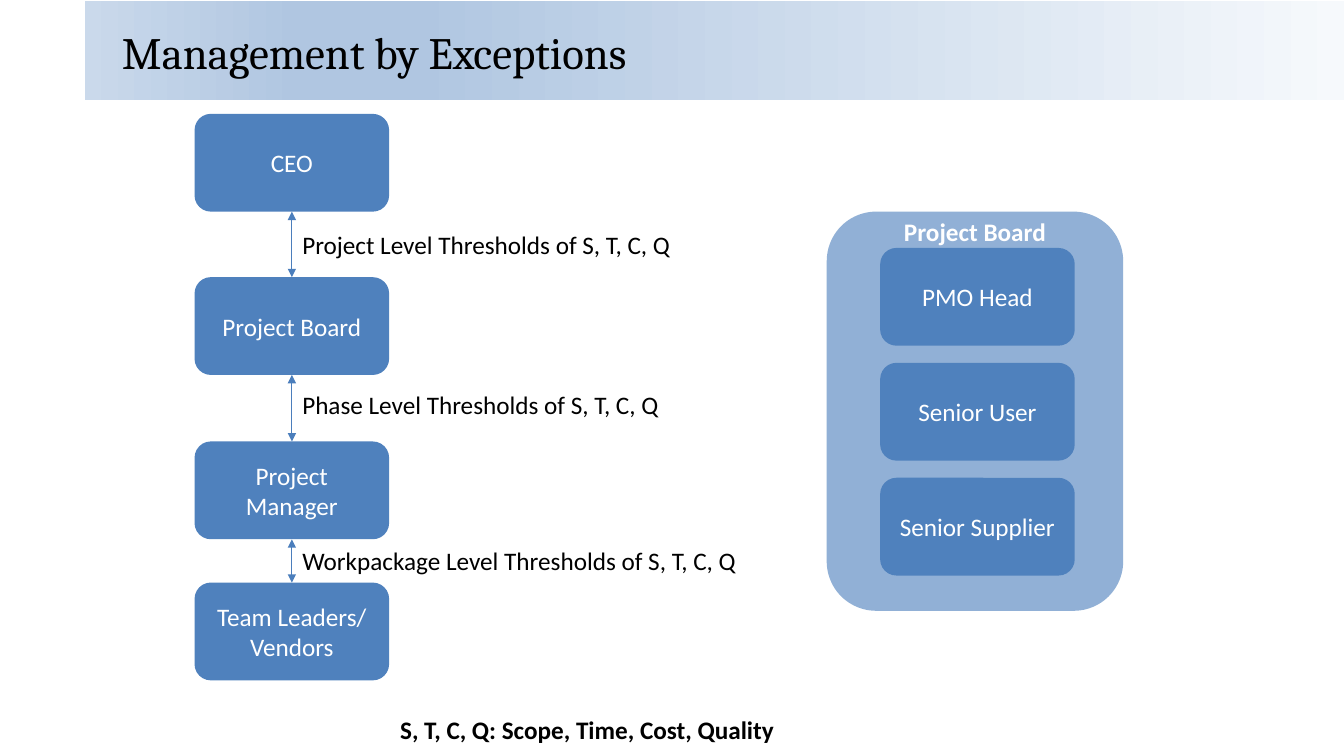
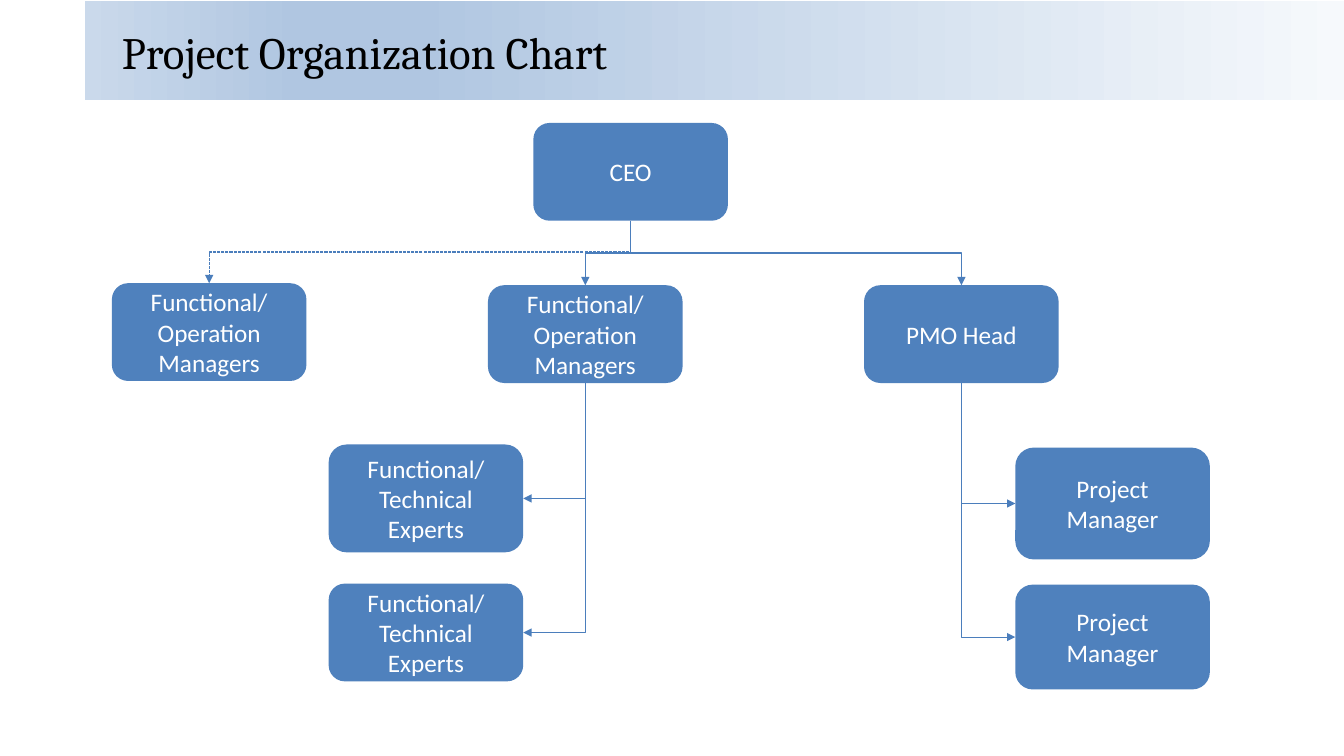
from itertools import pairwise

from lxml.etree import SubElement as Sub
from pptx import Presentation
from pptx.dml.color import RGBColor
from pptx.enum.dml import MSO_LINE as Dash
from pptx.enum.shapes import MSO_CONNECTOR as Link, MSO_SHAPE as Kind
from pptx.enum.text import MSO_ANCHOR as Anchor, PP_ALIGN as Align
from pptx.oxml.ns import qn
from pptx.util import Pt

PX = 9144  # EMU, 100 px to the inch
TOP, LEFT, BOTTOM, RIGHT = range(4)  # connection sites of a box
BLUE, EDGE, WHITE, BLACK = "4F81BD", "4B7EBC", "FFFFFF", "000000"
FADE = [(0, "F6F9FC"), (74, "B0C6E1"), (83, "B0C6E1"), (100, "CAD9EB")]


def px(*sizes):
    return [size * PX for size in sizes]


def rgb(code):
    return RGBColor.from_string(code)


def site(box, side):
    """Point where a connector meets the given side of a box."""
    x, y, w, h = box.left, box.top, box.width, box.height
    return [(x + w // 2, y), (x, y + h // 2),
            (x + w // 2, y + h), (x + w, y + h // 2)][side]


class Deck:
    def __init__(self):
        self.prs = Presentation()
        self.prs.slide_width, self.prs.slide_height = px(1333, 750)
        self.layout = self.prs.slide_layouts[5]
        self.slide = None

    def page(self, title):
        self.slide = self.prs.slides.add_slide(self.layout)
        head = self.slide.shapes.title
        head.left, head.top, head.width, head.height = px(111, 6, 1178, 91)
        self.letter(head, title, BLACK, Align.LEFT, 32, font="Cambria")

    def letter(self, shape, text, color, align, size=18, bold=False,
               font="Calibri", anchor=Anchor.MIDDLE):
        """Fill a shape with one styled paragraph."""
        frame = shape.text_frame
        frame.text, frame.word_wrap = text, True
        frame.vertical_anchor = anchor
        par = frame.paragraphs[0]
        par.alignment = align
        style = par.font
        style.name, style.size, style.bold = font, Pt(size), bold
        style.color.rgb = rgb(color)

    def shape(self, kind, x, y, w, h, color=BLUE):
        new = self.slide.shapes.add_shape(kind, *px(x, y, w, h))
        new.shadow.inherit = False
        new.fill.solid()
        new.fill.fore_color.rgb = rgb(color)
        new.line.fill.background()
        return new

    def band(self):
        """Put the fading title band on the layout, behind every title."""
        band = self.shape(Kind.RECTANGLE, 84, 1, 1249, 98)
        band.fill.gradient()
        band.fill.gradient_angle = 180
        stops = band._element.spPr.find(".//" + qn("a:gsLst"))
        stops.clear()
        for pos, code in FADE:
            stop = Sub(stops, qn("a:gs"), pos=str(pos * 1000))
            Sub(stop, qn("a:srgbClr"), val=code)
        self.layout.shapes._spTree.insert(2, band._element)

    def box(self, text, x, y, h=97):
        new = self.shape(Kind.ROUNDED_RECTANGLE, x, y, 193, h)
        self.letter(new, text, WHITE, Align.CENTER)
        return new

    def panel(self, x, y, w, h, alpha):
        new = self.shape(Kind.ROUNDED_RECTANGLE, x, y, w, h)
        color = new._element.spPr.find(".//" + qn("a:srgbClr"))
        Sub(color, qn("a:alpha"), val=str(alpha * 1000))

    def label(self, text, x, y, w, color=BLACK, align=Align.LEFT, bold=False):
        new = self.slide.shapes.add_textbox(*px(x, y, w, 40))
        self.letter(new, text, color, align, bold=bold, anchor=Anchor.TOP)

    def join(self, kind, start, end, side, both=False, dash=None):
        """Glue an arrow from the bottom of start to a side of end."""
        a, b = site(start, BOTTOM), site(end, side)
        line = self.slide.shapes.add_connector(kind, *a, *b)
        line.begin_connect(start, BOTTOM)
        line.end_connect(end, side)
        line.line.color.rgb = rgb(EDGE)
        line.line.width = Pt(0.75)
        if dash:
            line.line.dash_style = dash
        props = line._element.spPr
        for tip in ["headEnd", "tailEnd"] if both else ["tailEnd"]:
            Sub(props.find(qn("a:ln")), qn("a:" + tip), type="triangle")
        Sub(props, qn("a:effectLst"))
        return line, a, b

    def arrow(self, start, end):
        self.join(Link.STRAIGHT, start, end, TOP, both=True)

    def elbow(self, start, end, side=TOP, dash=None):
        """Bent arrow that leaves downwards: a turned frame, mirrored if it goes right."""
        line, (x1, y1), (x2, y2) = self.join(Link.ELBOW, start, end, side, dash=dash)
        w, h = y2 - y1, abs(x2 - x1)
        line.left, line.top = (x1 + x2 - w) // 2, (y1 + y2 - h) // 2
        line.width, line.height = w, h
        right = x2 > x1
        props = line._element.spPr
        frame = props.find(qn("a:xfrm"))
        frame.set("rot", str((270 if right else 90) * 60000))
        frame.set("flipH", "1" if right else "0")
        if side != TOP:
            props.find(qn("a:prstGeom")).set("prst", "bentConnector2")


def levels(deck):
    deck.page("Management by Exceptions")
    deck.band()
    deck.panel(820, 210, 294, 396, 62)
    deck.label("Project Board", 820, 210, 294, WHITE, Align.CENTER, True)
    for i, role in enumerate(["PMO Head", "Senior User", "Senior Supplier"]):
        deck.box(role, 873, 246 + 114 * i)

    chain = [deck.box(role, 193, y) for role, y in [
        ("CEO", 113), ("Project Board", 275),
        ("Project Manager", 438), ("Team Leaders/ Vendors", 578)]]
    for upper, lower in pairwise(chain):
        deck.arrow(upper, lower)
    for level, y in [("Project", 223), ("Phase", 381), ("Workpackage", 536)]:
        deck.label(f"{level} Level Thresholds of S, T, C, Q", 290, y, 500)
    deck.label("S, T, C, Q: Scope, Time, Cost, Quality", 387, 704, 641, bold=True)


def chart(deck):
    deck.page("Project Organization Chart")
    managers = "Functional/ Operation Managers"
    experts = "Functional/ Technical Experts"
    ceo = deck.box("CEO", 529, 122)
    head = deck.box("PMO Head", 857, 283)
    inner = deck.box(managers, 484, 283)
    outer = deck.box(managers, 111, 281)
    deck.elbow(ceo, head)
    deck.elbow(ceo, inner)
    deck.elbow(ceo, outer, dash=Dash.SQUARE_DOT)
    for boss, side, role, x, y, h in [
            (head, LEFT, "Project Manager", 1007, 444, 111),
            (head, LEFT, "Project Manager", 1007, 580, 104),
            (inner, RIGHT, experts, 326, 441, 107),
            (inner, RIGHT, experts, 326, 579, 97)]:
        deck.elbow(boss, deck.box(role, x, y, h), side)


def main():
    deck = Deck()
    levels(deck)
    chart(deck)
    deck.prs.save("out.pptx")


if __name__ == "__main__":
    main()
